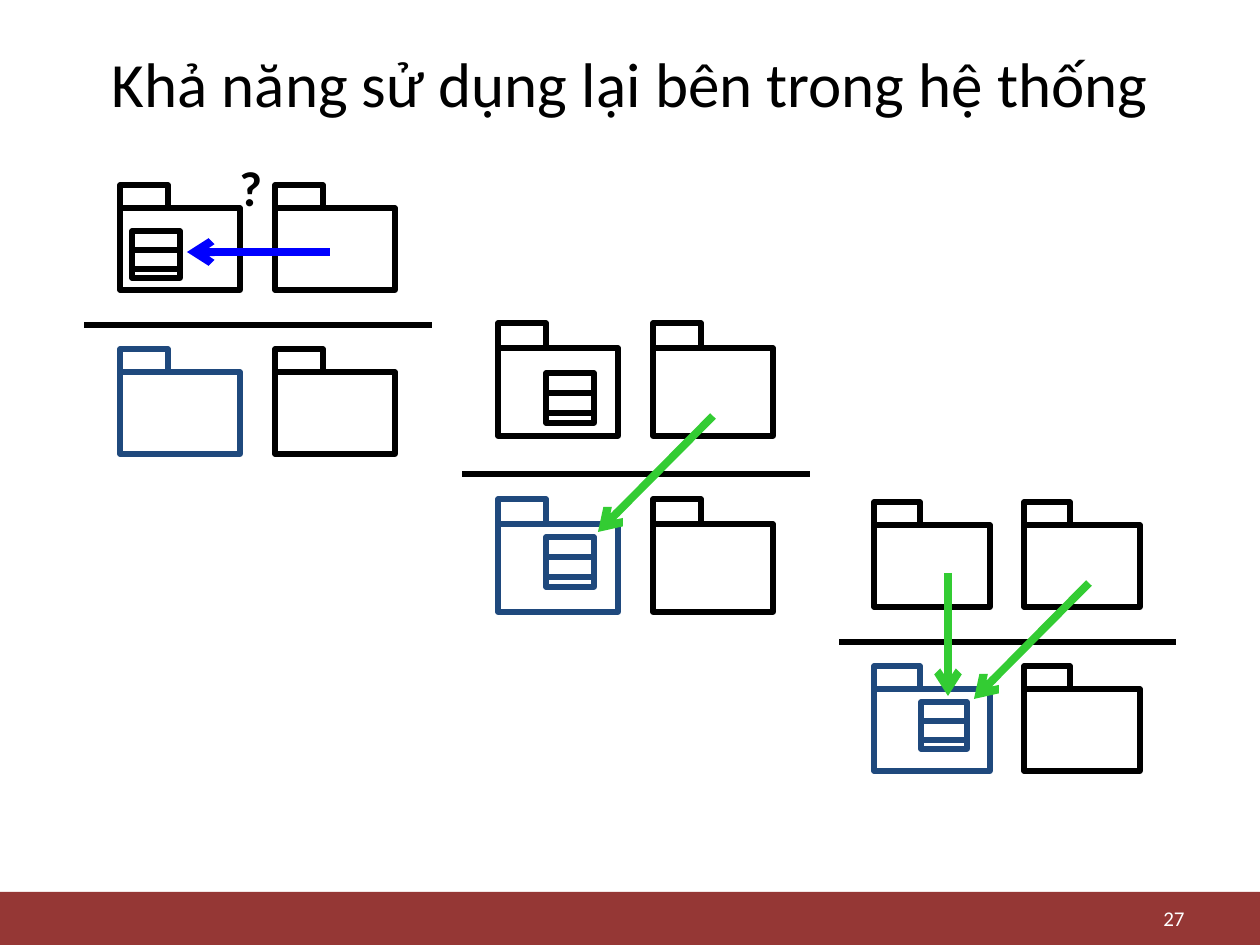
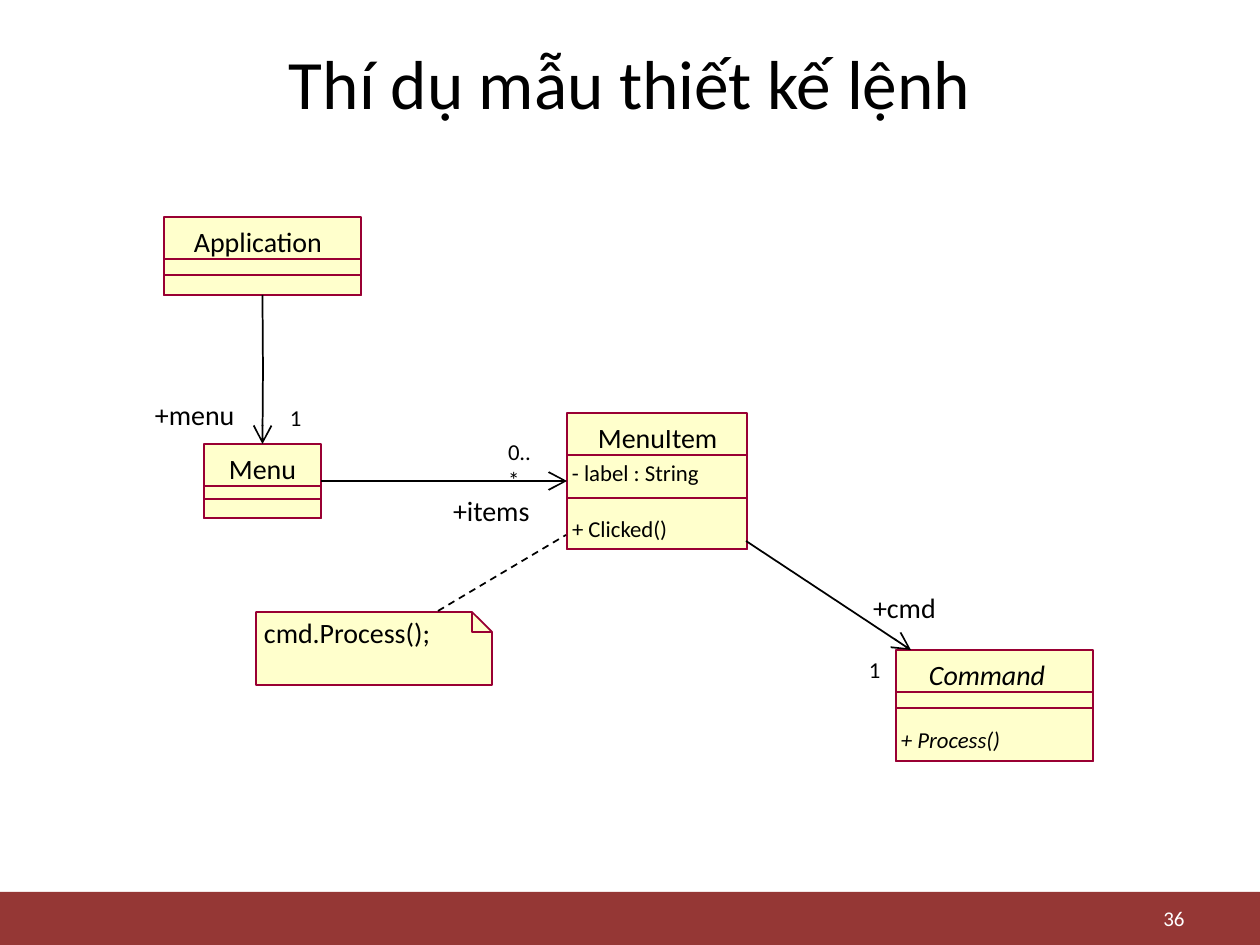
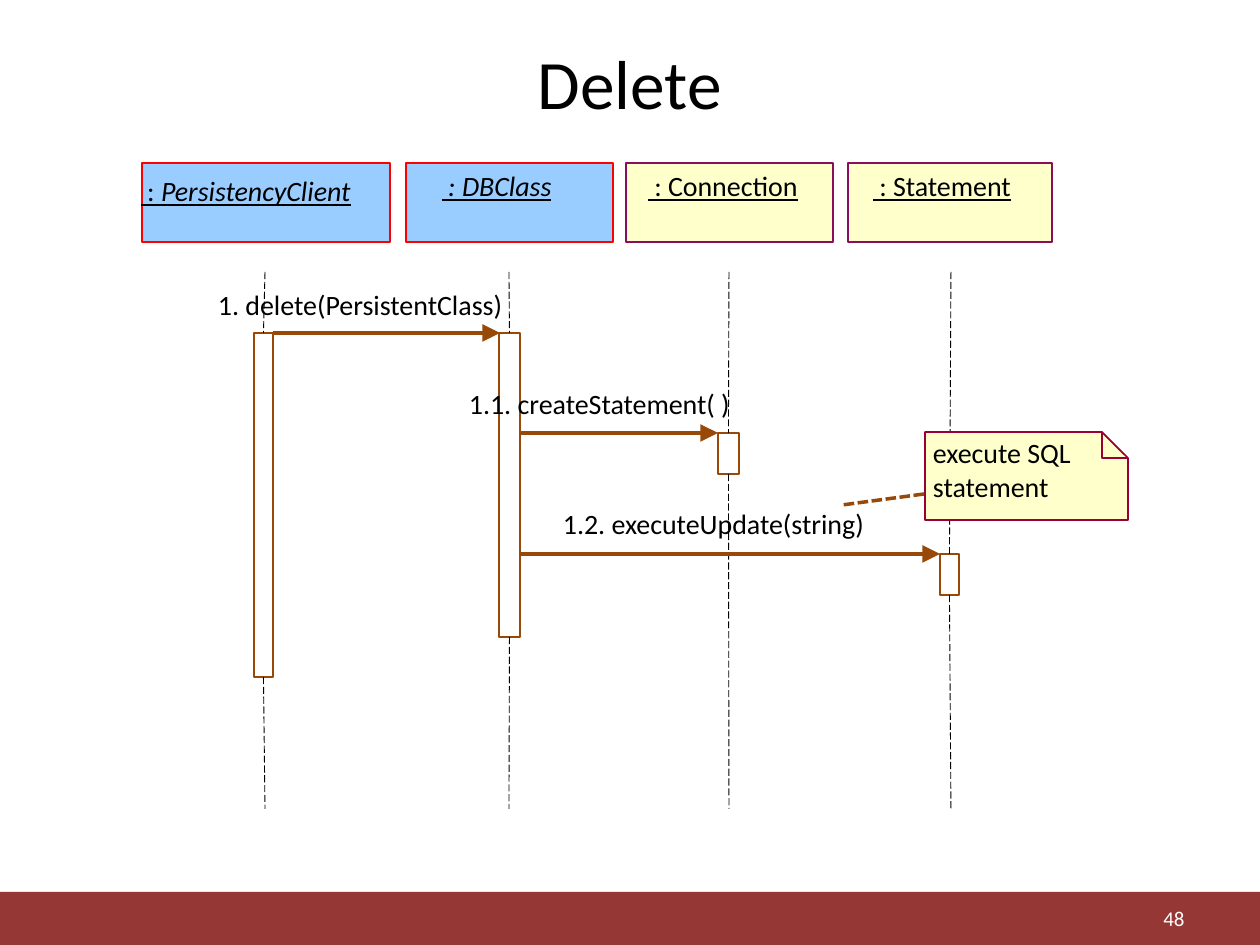
from dataclasses import dataclass
from lxml.etree import SubElement
from pptx import Presentation
from pptx.dml.color import RGBColor
from pptx.enum.dml import MSO_LINE_DASH_STYLE as Dash
from pptx.enum.shapes import MSO_CONNECTOR_TYPE as Connector
from pptx.enum.shapes import MSO_AUTO_SHAPE_TYPE as Preset
from pptx.enum.text import MSO_ANCHOR as Anchor
from pptx.enum.text import MSO_AUTO_SIZE as AutoSize
from pptx.enum.text import PP_ALIGN as Align
from pptx.oxml.ns import qn
from pptx.util import Pt

SCALE = 914400 / 126
WIDTH, HEIGHT = 1260, 945
TOP, LEFT, BOTTOM, RIGHT = range(4)


@dataclass(frozen=True)
class Theme:
    font: str = "Calibri"
    black: str = "000000"
    white: str = "FFFFFF"
    band: str = "953735"
    navy: str = "1F497D"
    blue: str = "0000FF"
    green: str = "33CC33"
    cream: str = "FFFFCC"
    crimson: str = "990033"
    sky: str = "99CCFF"
    red: str = "FF0000"
    plum: str = "8A0E5E"
    brown: str = "984807"
    title: float = 39.6
    long_title: float = 36
    question: float = 28
    label: float = 16
    member: float = 13
    number: float = 12
    diagram: float = 3
    arrow: float = 4.5
    thin: float = 1
    dashed: float = 0.5
    hair: float = 0


THEME = Theme()
OPEN_HEAD = ("arrow", "med")
LARGE_OPEN_HEAD = ("arrow", "lg")
LARGE_SOLID_HEAD = ("triangle", "lg")


@dataclass(frozen=True)
class System:
    left: int
    top: int
    folder_width: int
    folder_height: int

    def x(self, share):
        return round(self.left + share * self.folder_width)

    def y(self, share):
        return round(self.top + share * self.folder_height)


def px(length):
    return round(length * SCALE)


def set_values(target, values):
    for name, value in values.items():
        setattr(target, name, value)


def paint(shape, fill=None, line=None, weight=THEME.thin):
    shape.shadow.inherit = False
    if fill:
        shape.fill.solid()
        shape.fill.fore_color.rgb = RGBColor.from_string(fill)
    else:
        shape.fill.background()
    if line:
        shape.line.color.rgb = RGBColor.from_string(line)
        shape.line.width = Pt(weight)
    else:
        shape.line.fill.background()
    return shape


def add_box(slide, left, top, width, height, **style):
    shape = slide.shapes.add_shape(
        Preset.RECTANGLE, px(left), px(top), px(width), px(height))
    return paint(shape, **style)


def add_outline(slide, points, close, **style):
    builder = slide.shapes.build_freeform(*points[0], scale=SCALE)
    builder.add_line_segments(points[1:], close=close)
    return paint(builder.convert_to_shape(), **style)


def add_line(slide, start, end, color=THEME.black, weight=THEME.thin,
             dash=None, head=None, begin=None, finish=None):
    line = slide.shapes.add_connector(
        Connector.STRAIGHT, *map(px, start + end))
    line.line.color.rgb = RGBColor.from_string(color)
    set_values(line.line, {"width": Pt(weight), "dash_style": dash})
    properties = line._element.spPr
    if head:
        kind, size = head
        SubElement(properties.find(qn("a:ln")), qn("a:tailEnd"),
                   {"type": kind, "w": size, "len": size})
    SubElement(properties, qn("a:effectLst"))
    if begin:
        line.begin_connect(*begin)
    if finish:
        line.end_connect(*finish)
    return line


def add_text(slide, box, runs, size, color=THEME.black, frame=None,
             align=Align.LEFT, **font):
    text_frame = slide.shapes.add_textbox(*map(px, box)).text_frame
    set_values(text_frame, {"word_wrap": True, **(frame or {})})
    paragraph = text_frame.paragraphs[0]
    paragraph.alignment = align
    for text, extra in [(runs, {})] if isinstance(runs, str) else runs:
        run = paragraph.add_run()
        run.text = text
        set_values(run.font, {"name": THEME.font, "size": Pt(size),
                              **font, **extra})
        run.font.color.rgb = RGBColor.from_string(color)


def add_label(slide, left, top, width, runs, size=THEME.label, wrap=False,
              **font):
    frame = dict.fromkeys(
        ("margin_left", "margin_top", "margin_right", "margin_bottom"), 0)
    frame.update(word_wrap=wrap, auto_size=AutoSize.SHAPE_TO_FIT_TEXT)
    height = 34 if size == THEME.label else 28
    add_text(slide, (left, top, width, height), runs, size, frame=frame,
             **font)


def add_page(presentation, title, number, size=THEME.title):
    slide = presentation.slides.add_slide(presentation.slide_layouts[6])
    add_box(slide, 0, 892, WIDTH, 53, fill=THEME.band)
    middle = {"vertical_anchor": Anchor.MIDDLE}
    add_text(slide, (63, 38, 1134, 88), title, size, frame=middle,
             align=Align.CENTER)
    add_text(slide, (903, 901, 294, 34), str(number), THEME.number,
             THEME.white, frame=middle, align=Align.RIGHT)
    return slide


def add_folder(slide, system, column, row, color):
    width, height = system.folder_width, system.folder_height
    left, top = system.x(1.29 * column), system.y(2 * row)
    tab_height = round(0.285 * height)
    style = {"line": color, "weight": THEME.diagram}
    add_box(slide, left, top, width, height, **style)
    add_box(slide, left, top - tab_height, round(0.4 * width), tab_height,
            **style)


def add_class_icon(slide, system, left, top, color):
    width = round(0.4 * system.folder_width)
    height = system.folder_height
    style = {"line": color, "weight": THEME.diagram}
    add_box(slide, left, top, width, round(0.57 * height), **style)
    add_box(slide, left, top + round(0.23 * height), width,
            round(0.23 * height), **style)


def add_system(slide, system):
    level = system.y(1.43)
    add_line(slide, (system.x(2.6), level), (system.x(-0.3), level),
             weight=THEME.diagram)
    for row in range(2):
        for column in range(2):
            shared = row == 1 and column == 0
            add_folder(slide, system, column, row,
                       THEME.navy if shared else THEME.black)


def add_class(slide, box, name, name_left, name_width, divider, members=(),
              italic=False):
    left, top, width, height = box
    shape = add_box(slide, *box, fill=THEME.cream, line=THEME.crimson)
    for offset in (42, divider):
        add_box(slide, left, top + offset, width, height - offset,
                line=THEME.crimson)
    add_label(slide, name_left, top + 8, name_width, name, italic=italic)
    for text, member_top, member_width in members:
        add_label(slide, left + 5, member_top, member_width, text,
                  THEME.member, italic=italic)
    return shape


def add_note(slide, left, top, width, height, fold, lines):
    right, bottom = left + width, top + height
    add_outline(slide, [(left, top), (right - fold, top),
                        (right, top + fold), (right, bottom),
                        (left, bottom)], True,
                fill=THEME.cream, line=THEME.crimson)
    add_outline(slide, [(right - fold, top), (right - fold, top + fold),
                        (right, top + fold)], False, line=THEME.crimson)
    for index, (text, text_width) in enumerate(lines):
        add_label(slide, left + 8, top + 4 + 34 * index, text_width, text)


def add_participant(slide, left, width, fill, line, label, center, bar):
    add_box(slide, left, 163, width, 79, fill=fill, line=line)
    add_label(slide, *label)
    bar_left, bar_top, bar_width, bar_height = bar
    activation = add_box(slide, *bar, line=THEME.brown, weight=THEME.hair)
    style = {"weight": THEME.dashed, "dash": Dash.LONG_DASH}
    add_line(slide, (center, 272), (center, bar_top),
             finish=(activation, TOP), **style)
    add_line(slide, (center, bar_top + bar_height), (center, 809),
             begin=(activation, BOTTOM), **style)


def build_reuse(presentation):
    slide = add_page(presentation, "Khả năng sử dụng lại bên trong hệ thống",
                     27, THEME.long_title)
    client = System(120, 208, 120, 82)
    moved = System(498, 348, 120, 88)
    shared = System(874, 525, 116, 82)
    for system in (client, moved, shared):
        add_system(slide, system)
    for system, left, top, color in (
            (client, 132, 231, THEME.black),
            (moved, 546, 373, THEME.black),
            (moved, 546, 537, THEME.navy),
            (shared, 921, 702, THEME.navy)):
        add_class_icon(slide, system, left, top, color)
    for start, end, color in (
            ((330, 252), (187, 252), THEME.blue),
            ((713, 416), (598, 532), THEME.green),
            ((1089, 583), (974, 699), THEME.green),
            ((948, 573), (948, 696), THEME.green)):
        add_line(slide, start, end, color, THEME.arrow, head=OPEN_HEAD)
    add_text(slide, (227, 151, 155, 72), "?", THEME.question, bold=True)


def build_command(presentation):
    slide = add_page(presentation, "Thí dụ mẫu thiết kế lệnh", 36)
    add_note(slide, 256, 612, 236, 73, 20, [("cmd.Process();", 189)])
    application = add_class(slide, (164, 217, 197, 78), "Application",
                            194, 136, 58)
    menu = add_class(slide, (204, 444, 117, 74), "Menu", 229, 71, 55)
    item = add_class(slide, (567, 413, 180, 136), "MenuItem", 598, 125, 85,
                     [("- label : String", 459, 141),
                      ("+ Clicked()", 515, 110)])
    add_class(slide, (896, 650, 197, 111), "Command", 929, 129, 58,
              [("+ Process()", 726, 117)], italic=True)

    add_line(slide, (263, 369), (263, 444), head=LARGE_OPEN_HEAD,
             finish=(menu, TOP))
    add_line(slide, (263, 369), (263, 295), finish=(application, BOTTOM))
    add_line(slide, (444, 481), (567, 481), head=LARGE_OPEN_HEAD,
             finish=(item, LEFT))
    add_line(slide, (444, 481), (321, 481), finish=(menu, RIGHT))
    add_line(slide, (746, 541), (911, 650), head=LARGE_OPEN_HEAD)
    add_line(slide, (438, 611), (566, 535), dash=Dash.DASH)

    for left, top, width, text in ((155, 398, 87, "+menu"),
                                   (453, 494, 83, "+items"),
                                   (873, 591, 69, "+cmd")):
        add_label(slide, left, top, width, text)
    for left, top in ((290, 404), (869, 656)):
        add_label(slide, left, top, 13, "1", THEME.member)
    add_label(slide, 508, 438, 33, "0..*", THEME.member, wrap=True)


def build_delete(presentation):
    slide = add_page(presentation, "Delete", 48)
    underlined = {"underline": True}
    slanted = {"underline": True, "italic": True}
    active = (THEME.sky, THEME.red)
    passive = (THEME.cream, THEME.plum)
    for left, width, colors, label, center, bar in (
            (142, 248, active,
             (141, 174, 212, [(" : ", underlined),
                              ("PersistencyClient", slanted)]),
             265, (254, 333, 19, 344)),
            (406, 207, active, (442, 169, 111, [(" : DBClass", slanted)]),
             509, (499, 333, 21, 304)),
            (626, 207, passive,
             (648, 169, 151, [(" : Connection", underlined)]),
             729, (718, 433, 21, 41)),
            (848, 204, passive,
             (873, 169, 140, [(" : Statement", underlined)]),
             951, (940, 554, 19, 41))):
        add_participant(slide, left, width, *colors, label, center, bar)

    for start, end, level, label in (
            (273, 500, 333, (218, 287, 287, "1. delete(PersistentClass)")),
            (520, 718, 433, (469, 387, 265, "1.1. createStatement( )")),
            (520, 940, 554, (563, 507, 305, "1.2. executeUpdate(string)"))):
        add_line(slide, (start, level), (end, level), THEME.brown,
                 THEME.hair, head=LARGE_SOLID_HEAD)
        add_label(slide, *label)

    add_note(slide, 925, 432, 203, 88, 26,
             [("execute SQL", 146), ("statement", 117)])
    add_line(slide, (924, 494), (842, 505), THEME.brown, THEME.hair,
             dash=Dash.SQUARE_DOT)


def main():
    presentation = Presentation()
    set_values(presentation, {"slide_width": px(WIDTH),
                              "slide_height": px(HEIGHT)})
    for build in (build_reuse, build_command, build_delete):
        build(presentation)
    presentation.save("out.pptx")


if __name__ == "__main__":
    main()
